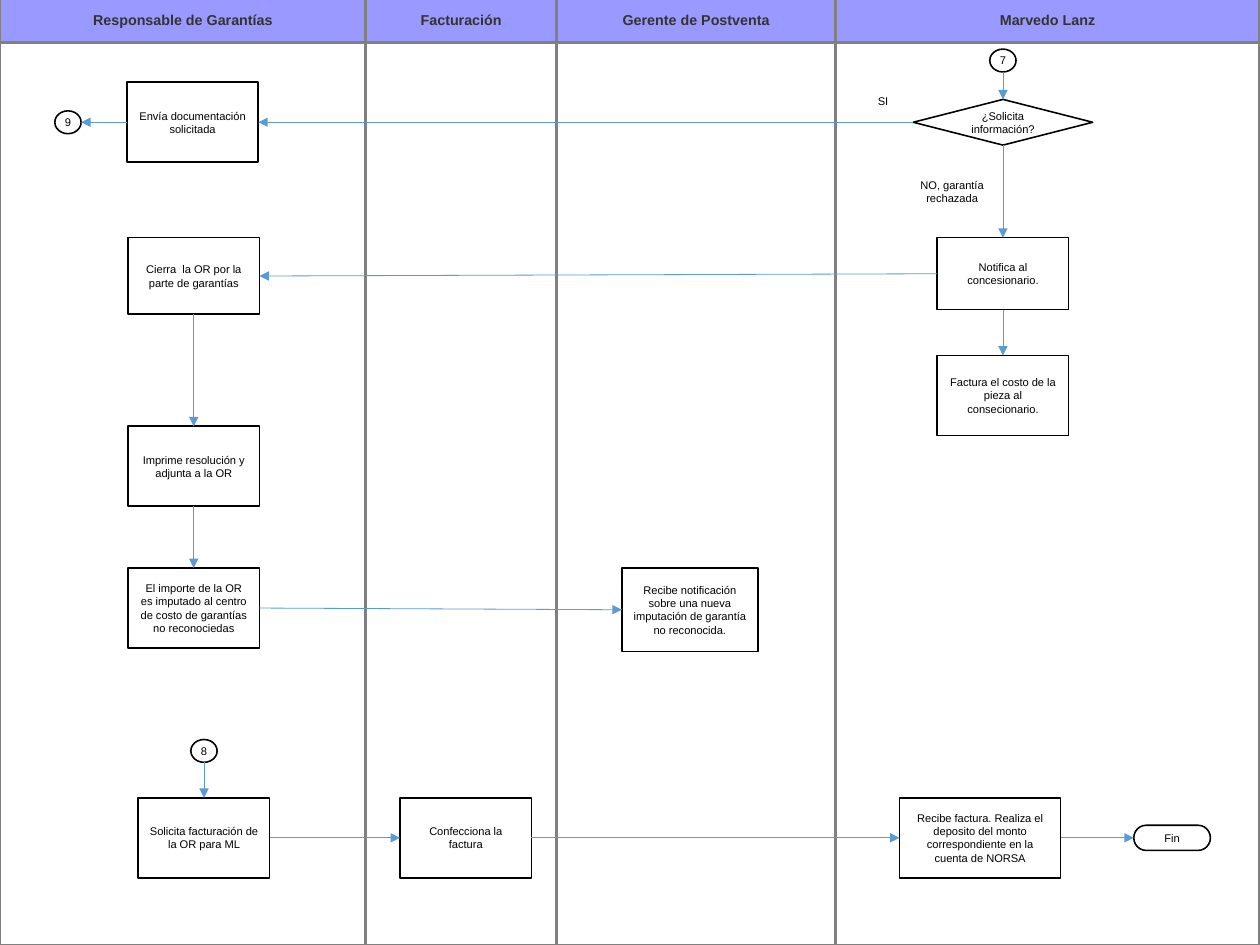
from itertools import pairwise

from lxml import etree
from pptx import Presentation
from pptx import util as u
from pptx.dml.color import RGBColor
from pptx.enum import shapes, text
from pptx.oxml import ns

SLIDE_CM = (28, 21)
LANE_TOP, LANE_BOTTOM, HEADER_BOTTOM = -0.02, 8.27, 0.37
LANE_EDGES = [0, 3.2, 4.87, 7.31, 11.02]
LANE_TITLES = ["Responsable de Garantías", "Facturación",
               "Gerente de Postventa", "Marvedo Lanz"]
BOX_W, BOX_H = 1.15, 0.7
CIRCLE_W, CIRCLE_H = 0.23, 0.2
KIND = shapes.MSO_SHAPE

# name: (text, left, top, width, height)
BOXES = {
    "envia": ("Envía documentación solicitada", 1.11, 0.72, BOX_W, BOX_H),
    "cierra": ("Cierra  la OR por la parte de garantías", 1.12, 2.08, BOX_W, 0.67),
    "imprime": ("Imprime resolución y adjunta a la OR", 1.12, 3.73, BOX_W, BOX_H),
    "importe": ("El importe de la OR es imputado al centro de costo de "
                "garantías no reconociedas", 1.12, 4.97, BOX_W, BOX_H),
    "solicita": ("Solicita facturación de la OR para ML", 1.21, 6.98, BOX_W, BOX_H),
    "confecciona": ("Confecciona la factura", 3.5, 6.98, BOX_W, BOX_H),
    "gerente": ("Recibe notificación sobre una nueva imputación de garantía "
                "no reconocida.", 5.44, 4.97, 1.19, 0.73),
    "notifica": ("Notifica al concesionario.", 8.2, 2.08, BOX_W, 0.63),
    "costo": ("Factura el costo de la pieza al consecionario.",
              8.2, 3.11, BOX_W, BOX_H),
    "deposito": ("Recibe factura. Realiza el deposito del monto "
                 "correspondiente en la cuenta de NORSA", 7.87, 6.98, 1.41, BOX_H),
}
CIRCLES = {"7": (8.66, 0.43), "8": (1.67, 6.47), "9": (0.48, 0.97)}
FLOWS = [
    ("7", "bottom", "decision", "top"),
    ("decision", "left", "envia", "right"),
    ("envia", "left", "9", "right"),
    ("decision", "bottom", "notifica", "top"),
    ("notifica", "left", "cierra", "right"),
    ("notifica", "bottom", "costo", "top"),
    ("cierra", "bottom", "imprime", "top"),
    ("imprime", "bottom", "importe", "top"),
    ("importe", "right", "gerente", "left"),
    ("8", "bottom", "solicita", "top"),
    ("solicita", "right", "confecciona", "left"),
    ("confecciona", "right", "deposito", "left"),
    ("deposito", "right", "fin", "left"),
]
# share of the width and height at which each side's middle lies
SIDES = {"top": (0.5, 0), "left": (0, 0.5), "bottom": (0.5, 1), "right": (1, 0.5)}


def rgb(value):
    """Turn a hex string into a colour."""
    return RGBColor.from_string(value)


def write(sp, words, size=7, color="000000", bold=False, inset=(0.1, 0.05),
          anchor=text.MSO_ANCHOR.MIDDLE):
    """Put one centred paragraph into a shape."""
    tf = sp.text_frame
    tf.word_wrap = True
    tf.vertical_anchor = anchor
    tf.margin_left = tf.margin_right = u.Inches(inset[0])
    tf.margin_top = tf.margin_bottom = u.Inches(inset[1])
    p = tf.paragraphs[0]
    p.alignment = text.PP_ALIGN.CENTER
    r = p.add_run()
    r.text = words
    r.font.name = "Arial"
    r.font.size = u.Pt(size)
    r.font.bold = bold
    r.font.color.rgb = rgb(color)


def add_outline(s, kind, left, top, width, height, fill="FFFFFF",
                line="000000", weight=1):
    """Add a preset shape with a plain outline; no fill if fill is None."""
    sp = s.shapes.add_shape(kind, *map(u.Inches, (left, top, width, height)))
    sp.shadow.inherit = False
    if fill:
        sp.fill.solid()
        sp.fill.fore_color.rgb = rgb(fill)
    else:
        sp.fill.background()
    sp.line.color.rgb = rgb(line)
    sp.line.width = u.Pt(weight)
    return sp


def add_lane(s, title, left, right):
    """Add a swimlane: a tall frame with a titled header."""
    width = right - left
    add_outline(s, KIND.RECTANGLE, left, LANE_TOP, width, LANE_BOTTOM - LANE_TOP,
                None, "808080", 1.7)
    header = add_outline(s, KIND.RECTANGLE, left, LANE_TOP, width,
                         HEADER_BOTTOM - LANE_TOP, "9999FF", "808080", 1.7)
    write(header, title, 9, "333333", bold=True)


def add_node(s, kind, words, left, top, width, height, inset=(0.1, 0.05)):
    """Add one flowchart step and return it."""
    sp = add_outline(s, kind, left, top, width, height)
    write(sp, words, inset=inset)
    return sp


def add_label(s, words, left, top, width, height):
    """Add a free label beside an arrow."""
    sp = s.shapes.add_textbox(*map(u.Inches, (left, top, width, height)))
    write(sp, words, anchor=text.MSO_ANCHOR.TOP)


def side_point(sp, side):
    """Return the middle of a side of a shape."""
    x, y = SIDES[side]
    return round(sp.left + x * sp.width), round(sp.top + y * sp.height)


def add_arrow(s, source, source_side, target, target_side):
    """Join two steps with a straight arrow."""
    cx = s.shapes.add_connector(shapes.MSO_CONNECTOR.STRAIGHT,
                                *side_point(source, source_side),
                                *side_point(target, target_side))
    cx.line.color.rgb = rgb("5B9BD5")
    cx.line.width = u.Pt(0.5)
    ln = cx._element.spPr.find(ns.qn("a:ln"))
    etree.SubElement(ln, ns.qn("a:tailEnd"), type="triangle")
    etree.SubElement(cx._element.spPr, ns.qn("a:effectLst"))


def main():
    """Build the warranty swimlane slide."""
    prs = Presentation()
    prs.slide_width, prs.slide_height = map(u.Cm, SLIDE_CM)
    s = prs.slides.add_slide(prs.slide_layouts[6])

    for title, (left, right) in zip(LANE_TITLES, pairwise(LANE_EDGES)):
        add_lane(s, title, left, right)

    nodes = {name: add_node(s, KIND.RECTANGLE, *box) for name, box in BOXES.items()}
    for number, (left, top) in CIRCLES.items():
        nodes[number] = add_node(s, KIND.OVAL, number, left, top,
                                 CIRCLE_W, CIRCLE_H, inset=(0, 0))
    nodes["decision"] = add_node(s, KIND.DIAMOND, "¿Solicita información?",
                                 7.99, 0.87, 1.57, 0.4, inset=(0, 0))
    nodes["fin"] = add_node(s, KIND.FLOWCHART_TERMINATOR, "Fin",
                            9.92, 7.22, 0.67, 0.22, inset=(0, 0))

    for source, source_side, target, target_side in FLOWS:
        add_arrow(s, nodes[source], source_side, nodes[target], target_side)
    add_label(s, "NO, garantía rechazada", 7.73, 1.51, 1.2, 0.55)
    add_label(s, "SI", 7.57, 0.78, 0.31, 0.21)

    prs.save("out.pptx")


main()
